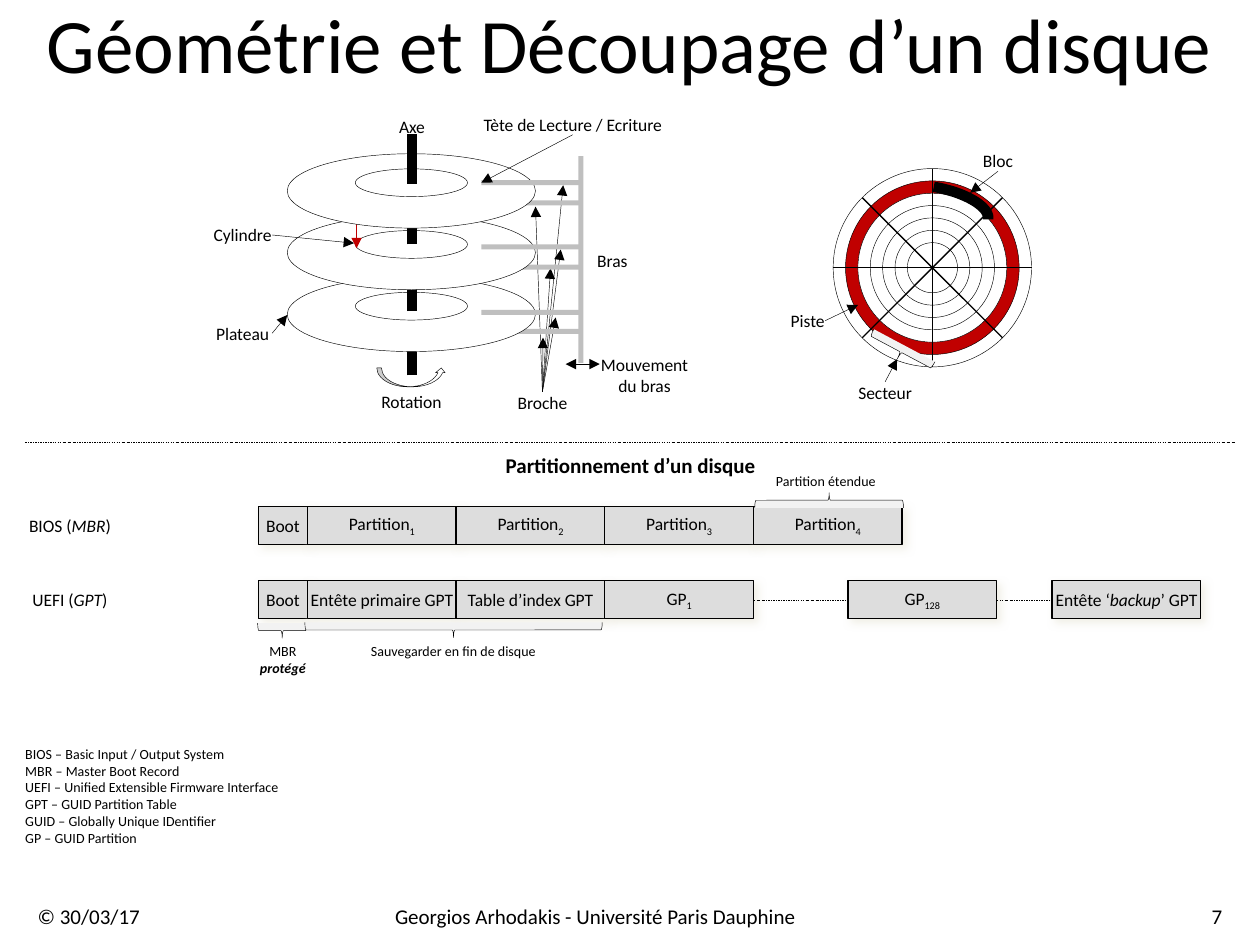
from dataclasses import dataclass
from math import cos, radians, sin

from lxml.etree import SubElement
from pptx import Presentation
from pptx.dml.color import RGBColor
from pptx.enum.dml import MSO_LINE
from pptx.enum.shapes import MSO_CONNECTOR as Link, MSO_SHAPE as Shape
from pptx.enum.text import MSO_ANCHOR as Anchor, MSO_AUTO_SIZE as AutoSize, PP_ALIGN as Align
from pptx.oxml.ns import qn
from pptx.util import Inches, Pt

TOP, LEFT, BOTTOM, RIGHT = range(4)


@dataclass(frozen=True)
class Theme:
    font: str = "Calibri"
    ink: str = "000000"
    paper: str = "FFFFFF"
    track: str = "C00000"
    metal: str = "BFBFBF"
    cell: str = "DDDDDD"
    brace: str = "F2F2F2"
    shadow: str = "EEECE1"
    title: float = 44
    heading: float = 12
    label: float = 10
    note: float = 8
    hairline: float = 0.25
    outline: float = 0.75
    heavy: float = 6


class Board:
    COLUMNS, ROWS = 100, 75

    def __init__(self, deck, theme):
        self.theme = theme
        self.slide = deck.slides.add_slide(deck.slide_layouts[5])
        self.shapes = self.slide.shapes
        self.column = deck.slide_width / self.COLUMNS
        self.row = deck.slide_height / self.ROWS

    def place(self, x, y, *size):
        units = (self.column, self.row)
        return [round(v * units[i % 2]) for i, v in enumerate((x, y, *size))]

    def fill_text(self, shape, paragraphs, size, align=Align.CENTER, wrap=False, inset=0):
        frame = shape.text_frame
        frame.auto_size = AutoSize.NONE
        frame.word_wrap = wrap
        frame.vertical_anchor = Anchor.MIDDLE
        frame.margin_left = frame.margin_right = Inches(inset)
        frame.margin_top = frame.margin_bottom = 0
        for index, parts in enumerate(paragraphs):
            paragraph = frame.add_paragraph() if index else frame.paragraphs[0]
            paragraph.alignment = align
            for part in parts:
                words, style = part if isinstance(part, tuple) else (part, "")
                run = paragraph.add_run()
                run.text = words
                run.font.name = self.theme.font
                run.font.size = Pt(size)
                run.font.color.rgb = RGBColor.from_string(self.theme.ink)
                run.font.bold = "b" in style
                run.font.italic = "i" in style
                if "s" in style:
                    run.font._element.set("baseline", "-25000")

    def title(self, words, box):
        holder = self.shapes.title
        holder.left, holder.top, holder.width, holder.height = self.place(*box)
        self.fill_text(holder, [[words]], self.theme.title)

    def text(self, box, *parts, size=None, **layout):
        return self.lines(box, [parts], size, **layout)

    def lines(self, box, paragraphs, size=None, **layout):
        holder = self.shapes.add_textbox(*self.place(*box))
        self.fill_text(holder, paragraphs, size or self.theme.label, **layout)
        return holder

    def shape(self, kind, box, fill=None, weight=None, turn=0):
        figure = self.shapes.add_shape(kind, *self.place(*box))
        figure.shadow.inherit = False
        figure.rotation = turn
        if fill:
            figure.fill.solid()
            figure.fill.fore_color.rgb = RGBColor.from_string(fill)
        else:
            figure.fill.background()
        if weight:
            figure.line.color.rgb = RGBColor.from_string(self.theme.ink)
            figure.line.width = Pt(weight)
        else:
            figure.line.fill.background()
        return figure

    def ellipse(self, x, y, rx, ry, fill=None):
        return self.shape(Shape.OVAL, (x - rx, y - ry, 2 * rx, 2 * ry),
                          fill or self.theme.paper, self.theme.hairline)

    def brace(self, x, y, length, turn):
        self.shape(Shape.LEFT_BRACE, (x - 0.6, y - length / 2, 1.2, length),
                   self.theme.brace, self.theme.hairline, turn)

    def cell(self, box, *parts):
        block = self.shape(Shape.FLOWCHART_PROCESS, box, self.theme.cell, self.theme.outline)
        effects = block._element.spPr.find(qn("a:effectLst"))
        shadow = SubElement(effects, qn("a:outerShdw"), blurRad=str(Pt(5)), dist=str(Pt(3)),
                            dir="2700000", algn="ctr", rotWithShape="0")
        color = SubElement(shadow, qn("a:srgbClr"), val=self.theme.shadow)
        SubElement(color, qn("a:alpha"), val="75000")
        self.fill_text(block, [parts], self.theme.label)
        return block

    def line(self, start, end, weight=None, color=None, ends=(), dashed=False):
        link = self.shapes.add_connector(Link.STRAIGHT, *self.place(*start, *end))
        link.line.color.rgb = RGBColor.from_string(color or self.theme.ink)
        link.line.width = Pt(weight or self.theme.hairline)
        if dashed:
            link.line.dash_style = MSO_LINE.DASH_DOT
        outline = link.line._get_or_add_ln()
        for name in ends:
            SubElement(outline, qn(f"a:{name}"), type="triangle")
        SubElement(link._element.spPr, qn("a:effectLst"))
        return link

    def leader(self, label, side, end):
        self.line(end, end, ends=["tailEnd"]).begin_connect(label, side)

    def bridge(self, before, after):
        link = self.line((0, 0), (1, 1), dashed=True)
        link.begin_connect(before, RIGHT)
        link.end_connect(after, LEFT)


def draw_platters(board, theme):
    axis, step = 32.7, 4.9

    def arm(y):
        board.shape(Shape.RECTANGLE, (38.2, y - 0.2, 7.9, 0.4), theme.metal)

    def platter(level, axis_from, axis_to, arm_y):
        y = 24.95 - level * step
        board.line((axis, axis_from), (axis, axis_to), theme.heavy)
        board.ellipse(axis - 0.05, y, 9.85, 2.95)
        board.ellipse(axis - 0.05, y - 0.65, 4.45, 1.1)
        arm(arm_y)

    spindle = board.text((40.9, 31.1, 4.3, 1.7), "Broche")
    for tip in ((43.1, 26.8), (44.1, 25.2), (43.7, 21.3), (42.5, 16.4), (44.7, 14.7), (44.5, 19.8)):
        board.leader(spindle, TOP, tip)
    for y in (26.3, 21.2, 16.1):
        arm(y)
    board.shape(Shape.RECTANGLE, (45.9, 12.4, 0.4, 16.4), theme.metal)
    platter(0, 29.8, 25.8, 24.8)
    platter(1, 24.7, 19.7, 19.6)
    board.line((28.3, 15.7), (28.3, 19.7), color=theme.track, ends=["headEnd", "tailEnd"])
    platter(2, 19.4, 14.4, 14.5)
    board.line((axis, 14.6), (axis, 10.6), theme.heavy)
    board.shape(Shape.CURVED_UP_ARROW, (29.9, 29.2, 5.5, 1.5), theme.paper, theme.hairline)

    board.text((31.3, 9.2, 2.8, 1.7), "Axe")
    board.text((47.2, 19.8, 2.8, 1.7), "Bras")
    board.text((30.1, 30.2, 5.1, 3.4), "Rotation")
    board.text((47.6, 28.1, 7.1, 3.4), "Mouvement du bras", wrap=True)
    board.line((44.9, 28.9), (47.6, 28.9), ends=["headEnd", "tailEnd"])
    for words, box, side, tip in (
        ("Tète de Lecture / Ecriture", (38.2, 9, 14.5, 1.7), BOTTOM, (38.2, 14.5)),
        ("Cylindre", (16.9, 17.8, 4.7, 1.7), RIGHT, (28.1, 19.3)),
        ("Plateau", (16.9, 25.6, 4.7, 1.7), RIGHT, (22.8, 25)),
    ):
        board.leader(board.text(box, words), side, tip)


def draw_tracks(board, theme):
    x, y, radius = 74, 21.25, 7.87
    for ring in range(7):
        reach = radius - ring * 0.98
        board.ellipse(x, y, reach, reach, theme.track if ring == 1 else theme.paper)
    for angle in range(0, 180, 45):
        dx, dy = radius * cos(radians(angle)), radius * sin(radians(angle))
        board.line((x - dx, y - dy), (x + dx, y + dy), theme.outline)
    board.shape(Shape.ARC, (69.1, 14.8, 9.4, 3.6), weight=theme.heavy, turn=10)
    board.brace(71.5, 27.95, 5.5, 298)
    for words, box, side, tip in (
        ("Piste", (62.7, 24.6, 2.8, 1.7), RIGHT, (68.1, 24.2)),
        ("Secteur", (68.1, 30.3, 4.3, 1.7), TOP, (71.2, 28.5)),
        ("Bloc", (77.8, 11.9, 2.8, 1.7), BOTTOM, (77, 15.3)),
    ):
        board.leader(board.text(box, words), side, tip)


def draw_partitions(board, theme):
    boot, wide, tall = 3.9, 11.8, 3
    starts = [20.5] + [24.4 + n * wide for n in range(4)]
    mbr = [["Boot"]] + [["Partition", (str(n), "s")] for n in range(1, 5)]
    gpt = [["Boot"], ["Entête primaire GPT"], ["Table d’index GPT"], ["GP", ("1", "s")],
           ["GP", ("128", "s")], ["Entête ‘", ("backup", "i"), "’ GPT"]]

    board.line((2, 35.1), (98, 35.1), dashed=True)
    board.text((40, 35.9, 20.1, 2), ("Partitionnement d’un disque", "b"), size=theme.heading)
    for firmware, scheme, y, lefts, names in (
        ("BIOS", "MBR", 40.2, starts, mbr),
        ("UEFI", "GPT", 46.1, starts[:4] + [67.3, 83.5], gpt),
    ):
        board.text((2, y + 0.65, 7.1, 1.7), f"{firmware} (", (scheme, "i"), ")")
        blocks = [board.cell((x, y, wide if n else boot, tall), *parts)
                  for n, (x, parts) in enumerate(zip(lefts, names))]
    for before, after in zip(blocks[3:], blocks[4:]):
        board.bridge(before, after)

    board.brace(22.4, 50.05, boot, 270)
    board.brace(36, 50, 2 * wide, 270)
    board.brace(65.8, 39.7, wide, 90)
    board.text((20.5, 51, 3.9, 2.7), "MBR ", ("protégé", "bi"), size=theme.note, wrap=True)
    board.text((29.3, 51, 13.4, 1.3), "Sauvegarder en fin de disque", size=theme.note)
    board.text((61.6, 37.5, 7.9, 1.3), "Partition étendue", size=theme.note)
    glossary = ("BIOS – Basic Input / Output System", "MBR – Master Boot Record",
                "UEFI – Unified Extensible Firmware Interface", "GPT – GUID Partition Table",
                "GUID – Globally Unique IDentifier", "GP – GUID Partition")
    board.lines((2, 59.1, 20.5, 8.1), [[entry] for entry in glossary], theme.note,
                align=Align.LEFT, wrap=True)


def main():
    deck = Presentation()
    deck.slide_width, deck.slide_height = Inches(10), Inches(7.5)
    theme = Theme()
    board = Board(deck, theme)
    board.title("Géométrie et Découpage d’un disque", (0, 0, 100, 6.7))
    draw_platters(board, theme)
    draw_tracks(board, theme)
    draw_partitions(board, theme)
    for words, left, width, align in (
        ("© 30/03/17", 2, 11.8, Align.LEFT),
        ("Georgios Arhodakis - Université Paris Dauphine", 13.8, 66.9, Align.CENTER),
        ("7", 94.1, 3.9, Align.RIGHT),
    ):
        board.text((left, 71.7, width, 2), words, size=theme.heading,
                   align=align, wrap=True, inset=0.1)
    deck.save("out.pptx")


if __name__ == "__main__":
    main()
